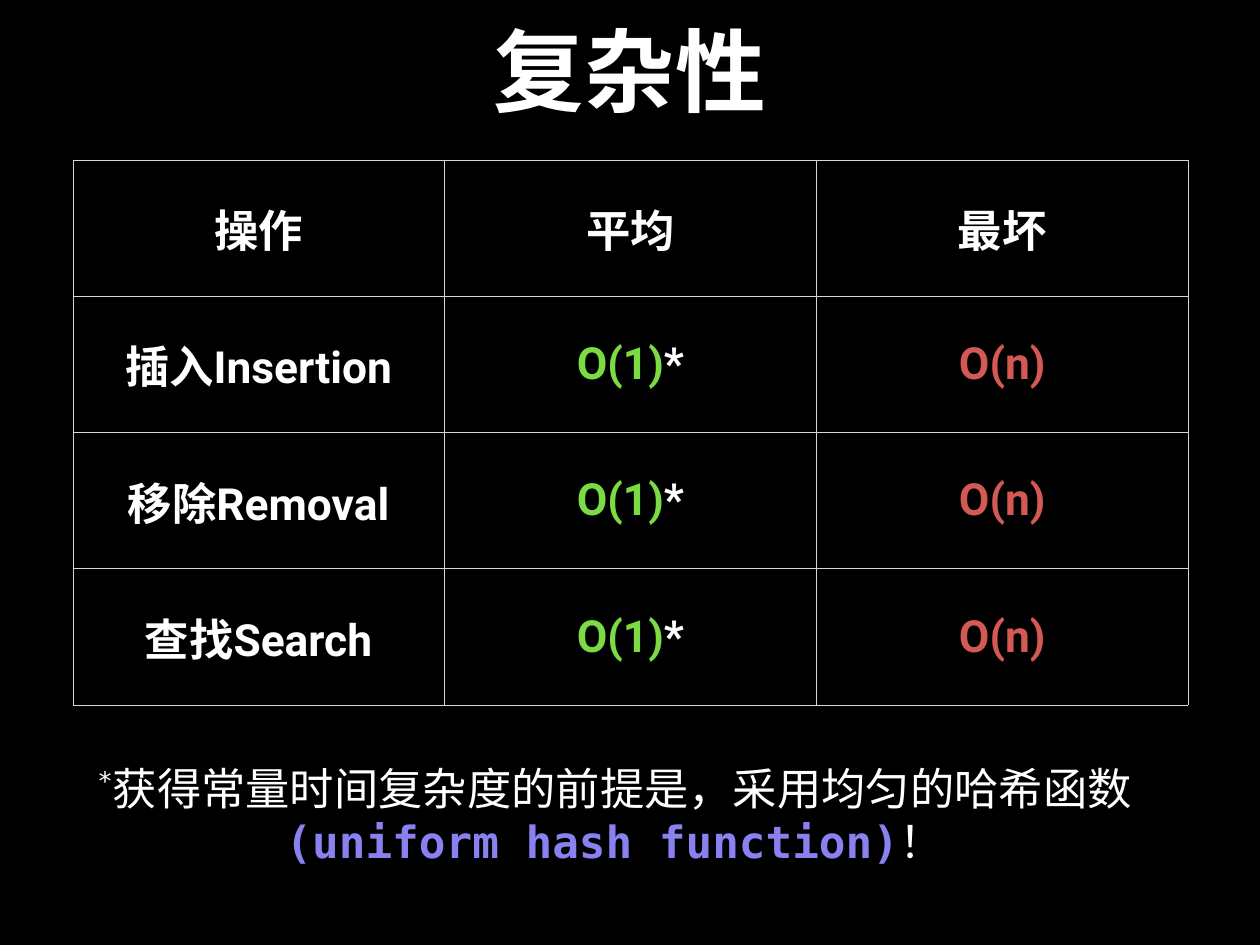
import pptx
import pptx.dml.color
import pptx.enum.text
import pptx.oxml
import pptx.oxml.ns
import pptx.util

# Content: each text is a list of (text, colour, bold, superscript) runs
WHITE, GREEN, RED, VIOLET = "FFFFFF", "7BDB45", "D45854", "8981F0"
GRID, BLACK = "D6D6D6", "000000"
MONO, SANS = "DejaVu Sans Mono", "Roboto"

TITLE = [("复杂性", WHITE, True, False)]
HEADERS = ["操作", "平均", "最坏"]
OPERATIONS = ["插入Insertion", "移除Removal", "查找Search"]
AVERAGE = [("O(1)", GREEN, True, False), ("*", WHITE, True, False)]
WORST = [("O(n)", RED, True, False)]
FOOTNOTE = [
    ("*", WHITE, False, True),
    ("获得常量时间复杂度的前提是，采用均匀的哈希函数", WHITE, False, False),
    ("(uniform hash function)", VIOLET, True, False),
    ("！", WHITE, False, False),
]

# Layout in inches
WIDTH, HEIGHT = 14.22, 10.67
TITLE_BOX = (1.04, 0.06, 12.14, 1.44)
TABLE_BOX = (0.82, 1.81, 12.59, 6.15)
FOOTNOTE_BOX = (0.9, 8.53, 12.07, 1.32)
INSET = 0.06
OUTER_LINE, INNER_LINE = 0.25, 1


def color(value):
    return pptx.dml.color.RGBColor.from_string(value)


def inches(box):
    return [pptx.util.Inches(v) for v in box]


def set_insets(target):
    target.margin_left = target.margin_right = pptx.util.Inches(INSET)
    target.margin_top = target.margin_bottom = pptx.util.Inches(INSET)
    target.vertical_anchor = pptx.enum.text.MSO_ANCHOR.MIDDLE


def write(tf, runs, font, size):
    p = tf.paragraphs[0]
    p.alignment = pptx.enum.text.PP_ALIGN.CENTER
    p.font.name, p.font.size = font, pptx.util.Pt(size)
    for text, shade, bold, raised in runs:
        r = p.add_run()
        r.text = text
        r.font.name, r.font.size = font, pptx.util.Pt(size)
        r.font.bold = bold
        r.font.color.rgb = color(shade)
        if raised:
            r._r.get_or_add_rPr().set("baseline", "32000")


def add_text(slide, box, runs, font, size):
    tf = slide.shapes.add_textbox(*inches(box)).text_frame
    tf.word_wrap = True
    set_insets(tf)
    write(tf, runs, font, size)


def add_border(cell, side, width):
    cell._tc.get_or_add_tcPr().append(pptx.oxml.parse_xml(
        f'<a:ln{side} {pptx.oxml.ns.nsdecls("a")} w="{pptx.util.Pt(width)}">'
        f'<a:solidFill><a:srgbClr val="{GRID}"/></a:solidFill></a:ln{side}>'))


def add_complexity_table(slide):
    rows = [[[(name, WHITE, True, False)] for name in HEADERS]]
    rows += [[[(name, WHITE, True, False)], AVERAGE, WORST] for name in OPERATIONS]
    n_rows, n_cols = len(rows), len(HEADERS)
    table = slide.shapes.add_table(n_rows, n_cols, *inches(TABLE_BOX)).table
    table.first_row = table.horz_banding = False
    for i, row in enumerate(rows):
        for j, runs in enumerate(row):
            cell = table.cell(i, j)
            set_insets(cell)
            write(cell.text_frame, runs, SANS, 36)
            # Thin frame outside, heavier lines inside
            outer = {"L": j == 0, "R": j == n_cols - 1,
                     "T": i == 0, "B": i == n_rows - 1}
            for side, is_outer in outer.items():
                add_border(cell, side, OUTER_LINE if is_outer else INNER_LINE)
            cell.fill.background()


def main():
    prs = pptx.Presentation()
    prs.slide_width, prs.slide_height = inches((WIDTH, HEIGHT))
    slide = prs.slides.add_slide(prs.slide_layouts[6])
    slide.background.fill.solid()
    slide.background.fill.fore_color.rgb = color(BLACK)

    add_text(slide, TITLE_BOX, TITLE, MONO, 73.7)
    add_complexity_table(slide)
    add_text(slide, FOOTNOTE_BOX, FOOTNOTE, MONO, 36)
    prs.save("out.pptx")


if __name__ == "__main__":
    main()
